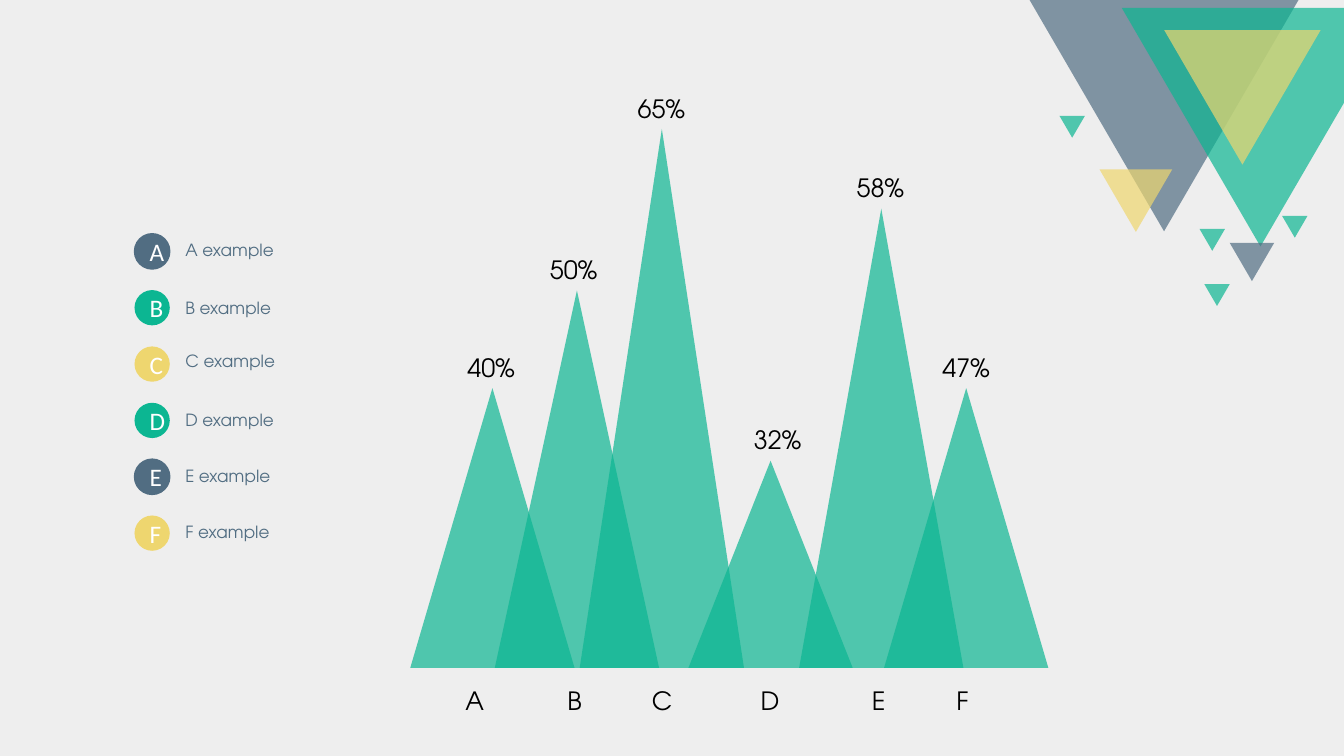
"""Build a slide with a triangle peak chart, a lettered legend and a triangle ornament."""
import pptx
import pptx.util
import pptx.dml.color
import pptx.enum.shapes
import pptx.enum.text
import pptx.oxml
import pptx.oxml.ns

Cm = pptx.util.Cm
Pt = pptx.util.Pt
RGBColor = pptx.dml.color.RGBColor
MSO_SHAPE = pptx.enum.shapes.MSO_SHAPE

SLATE = RGBColor(0x51, 0x6D, 0x82)
GREEN = RGBColor(0x0C, 0xB6, 0x92)
YELLOW = RGBColor(0xEE, 0xD6, 0x6F)
BACKGROUND = RGBColor(0xEE, 0xEE, 0xEE)
BLACK = RGBColor(0, 0, 0)
WHITE = RGBColor(255, 255, 255)
FONT = "TeX Gyre Adventor"

presentation = pptx.Presentation()
presentation.slide_width = Cm(33.87)
presentation.slide_height = Cm(19.05)
slide = presentation.slides.add_slide(presentation.slide_layouts[6])
slide.background.fill.solid()
slide.background.fill.fore_color.rgb = BACKGROUND


def add_triangle(left, top, width, height, color):
    triangle = slide.shapes.add_shape(
        MSO_SHAPE.ISOSCELES_TRIANGLE, Cm(left), Cm(top), Cm(width), Cm(height))
    triangle.shadow.inherit = False
    triangle.line.fill.background()
    triangle.fill.solid()
    triangle.fill.fore_color.rgb = color
    color_element = triangle.fill._xPr.find(".//" + pptx.oxml.ns.qn("a:srgbClr"))
    color_element.append(pptx.oxml.parse_xml(
        f'<a:alpha {pptx.oxml.ns.nsdecls("a")} val="70000"/>'))
    return triangle


def add_label(text, left, top, width, height, size, color, wrap):
    label = slide.shapes.add_textbox(Cm(left), Cm(top), Cm(width), Cm(height))
    label.text_frame.word_wrap = wrap
    label.text_frame.auto_size = pptx.enum.text.MSO_AUTO_SIZE.SHAPE_TO_FIT_TEXT
    paragraph = label.text_frame.paragraphs[0]
    paragraph.text = text
    paragraph.font.name = FONT
    paragraph.font.size = Pt(size)
    paragraph.font.color.rgb = color


ornament = [
    (25.4, -0.94, 7.87, SLATE),
    (28.27, 0.2, 6.99, GREEN),
    (29.34, 0.76, 3.94, YELLOW),
    (27.71, 4.27, 1.83, YELLOW),
    (32.31, 5.44, 0.64, GREEN),
    (30.35, 7.16, 0.64, GREEN),
    (30.23, 5.77, 0.64, GREEN),
    (30.99, 6.12, 1.12, SLATE),
    (26.7, 2.92, 0.64, GREEN),
]
for left, top, width, color in ornament:
    add_triangle(left, top, width, width * 0.86, color).rotation = 180

legend = [
    ("A", SLATE, 5.92),
    ("B", GREEN, 7.39),
    ("C", YELLOW, 8.71),
    ("D", GREEN, 10.19),
    ("E", SLATE, 11.61),
    ("F", YELLOW, 13.03),
]
for row, (letter, color, label_top) in enumerate(legend):
    badge = slide.shapes.add_shape(
        MSO_SHAPE.OVAL, Cm(3.39), Cm(5.89 + 1.42 * row), Cm(0.89), Cm(0.89))
    badge.shadow.inherit = False
    badge.fill.solid()
    badge.fill.fore_color.rgb = color
    if color == SLATE:
        badge.line.color.rgb = color
        badge.line.width = Pt(1)
    else:
        badge.line.fill.background()
    badge.text_frame.vertical_anchor = pptx.enum.text.MSO_ANCHOR.MIDDLE
    paragraph = badge.text_frame.paragraphs[0]
    paragraph.text = letter
    paragraph.alignment = pptx.enum.text.PP_ALIGN.CENTER
    paragraph.font.name = "Calibri"
    paragraph.font.size = Pt(18)
    paragraph.font.color.rgb = WHITE
    add_label(f"{letter} example", 4.42, label_top, 5.26, 0.76, 12, SLATE, True)

BASELINE = 16.83
PEAK_WIDTH = 4.14
peaks = [
    ("A", "40%", 10.34, 9.78, 11.53, 11.48, 0.99),
    ("B", "50%", 12.47, 7.32, 13.61, 14.05, 0.89),
    ("C", "65%", 14.61, 3.25, 15.82, 16.18, 1.04),
    ("D", "32%", 17.35, 11.61, 18.75, 18.92, 0.99),
    ("E", "58%", 20.14, 5.26, 21.34, 21.72, 0.86),
    ("F", "47%", 22.28, 9.78, 23.5, 23.85, 0.81),
]
for letter, value, left, top, value_left, letter_left, letter_width in peaks:
    add_triangle(left, top, PEAK_WIDTH, BASELINE - top, GREEN)
    add_label(value, value_left, top - 1.03, 1.73, 1.02, 18, BLACK, False)
    add_label(letter, letter_left, 17.15, letter_width, 1.02, 18, BLACK, False)

presentation.save("out.pptx")
